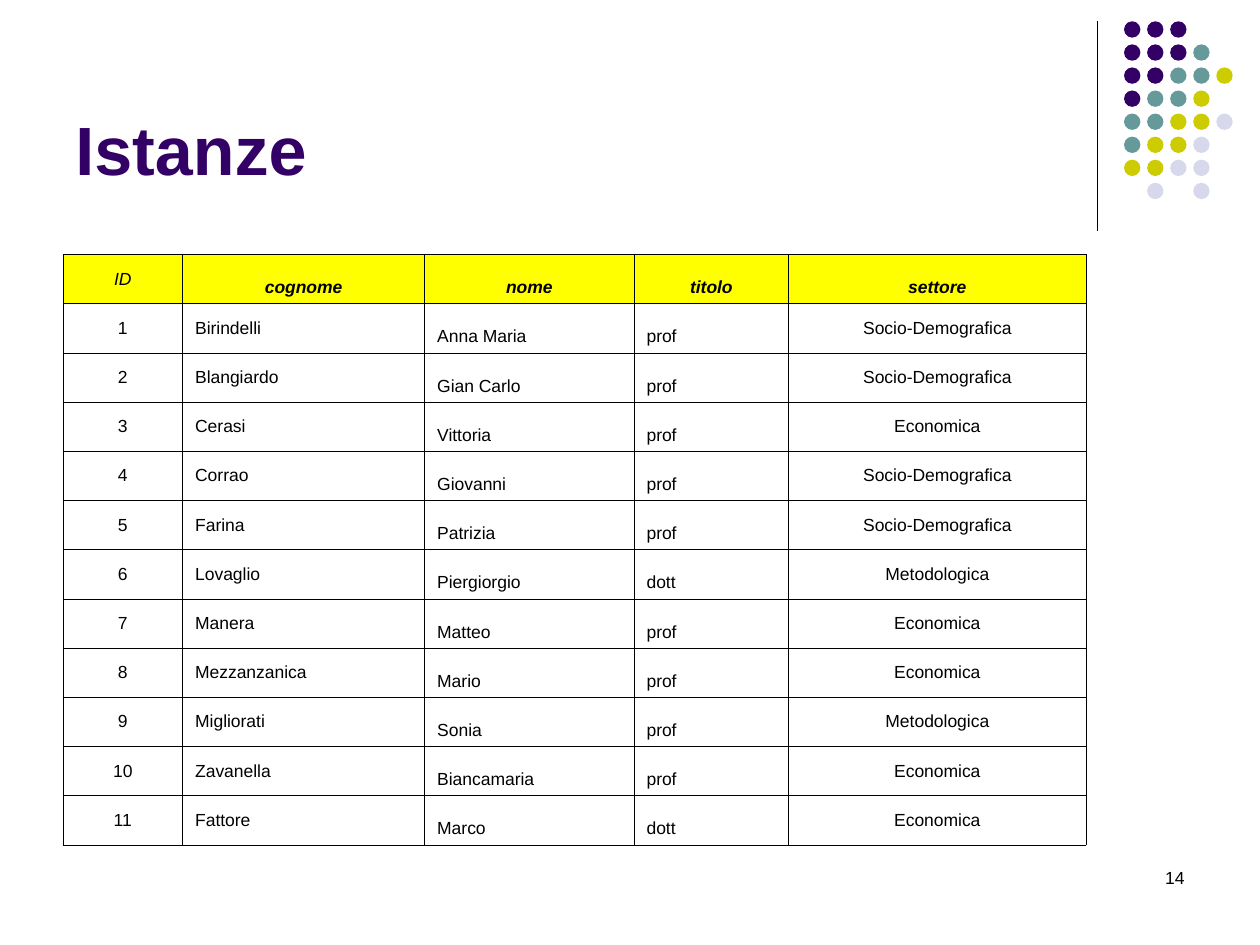
import pptx
import pptx.dml.color
import pptx.enum.shapes
import pptx.enum.text
import pptx.oxml
import pptx.oxml.ns
import pptx.util

Cm = pptx.util.Cm
ALIGN = pptx.enum.text.PP_ALIGN
ANCHOR = pptx.enum.text.MSO_ANCHOR

BLACK, PURPLE, TEAL = "000000", "330066", "669999"
OLIVE, LILAC, YELLOW = "CCCC00", "D8D8EC", "FFFF00"


def color(value):
    return pptx.dml.color.RGBColor.from_string(value)


class Deck:
    font = "Arial"
    body_size = 10

    def __init__(self, width, height):
        self.prs = pptx.Presentation()
        self.prs.slide_width, self.prs.slide_height = Cm(width), Cm(height)
        self.s = self.prs.slides.add_slide(self.prs.slide_layouts[6])

    def style(self, p, size, fill, align, bold=False, italic=False):
        p.alignment = align
        for r in p.runs:
            r.font.name, r.font.size = self.font, pptx.util.Pt(size)
            r.font.bold, r.font.italic = bold, italic
            r.font.color.rgb = color(fill)

    def text(self, text, x, y, w, h, size, fill, align=ALIGN.LEFT,
             anchor=ANCHOR.TOP, bold=False):
        tf = self.s.shapes.add_textbox(Cm(x), Cm(y), Cm(w), Cm(h)).text_frame
        tf.word_wrap, tf.vertical_anchor = True, anchor
        tf.text = text
        self.style(tf.paragraphs[0], size, fill, align, bold)

    def line(self, x1, y1, x2, y2, fill, weight):
        sp = self.s.shapes.add_connector(
            pptx.enum.shapes.MSO_CONNECTOR.STRAIGHT,
            Cm(x1), Cm(y1), Cm(x2), Cm(y2))
        sp.line.color.rgb, sp.line.width = color(fill), pptx.util.Pt(weight)
        sp._element.spPr.append(pptx.oxml.parse_xml(
            f'<a:effectLst {pptx.oxml.ns.nsdecls("a")}/>'))

    def dot(self, x, y, size, fill):
        sp = self.s.shapes.add_shape(pptx.enum.shapes.MSO_SHAPE.OVAL,
                                     Cm(x), Cm(y), Cm(size), Cm(size))
        sp.shadow.inherit = False
        sp.fill.solid()
        sp.fill.fore_color.rgb = color(fill)
        sp.line.fill.background()

    def borders(self, cell, fill, weight):
        tc_pr = cell._tc.get_or_add_tcPr()
        for side in ("lnL", "lnR", "lnT", "lnB"):
            tc_pr.append(pptx.oxml.parse_xml(
                f'<a:{side} {pptx.oxml.ns.nsdecls("a")} '
                f'w="{pptx.util.Pt(weight)}"><a:solidFill>'
                f'<a:srgbClr val="{fill}"/></a:solidFill></a:{side}>'))

    def table(self, rows, x, y, widths, height, aligns, anchors):
        table = self.s.shapes.add_table(
            len(rows), len(widths), Cm(x), Cm(y),
            Cm(sum(widths)), Cm(height)).table
        table.horz_banding = table.first_row = False
        for column, width in zip(table.columns, widths):
            column.width = Cm(width)
        for i, row in enumerate(rows):
            header = i == 0
            for j, value in enumerate(row):
                cell = table.cell(i, j)
                cell.text = value
                # Header names sit at the bottom, except the ID
                bottom = header and j > 0
                cell.vertical_anchor = ANCHOR.BOTTOM if bottom else anchors[j]
                self.style(cell.text_frame.paragraphs[0], self.body_size, BLACK,
                           ALIGN.CENTER if header else aligns[j],
                           bold=bottom, italic=header)
                self.borders(cell, BLACK, 0.45)
                if header:
                    cell.fill.solid()
                    cell.fill.fore_color.rgb = color(YELLOW)
                else:
                    cell.fill.background()


def main():
    deck = Deck(25.4, 19.05)

    # Corner decoration: rule and dot grid
    deck.line(22.12, 0.43, 22.12, 4.65, BLACK, 0.75)
    dot_colors = {"P": PURPLE, "T": TEAL, "O": OLIVE, "L": LILAC}
    dot_rows = ("PPP", "PPPT", "PPTTO", "PTTO", "TTOOL", "TOOL", "OOLL", " L L")
    pitch = 0.465
    for i, dots in enumerate(dot_rows):
        for j, key in enumerate(dots):
            if key in dot_colors:
                deck.dot(22.66 + j * pitch, 0.43 + i * pitch, 0.33,
                         dot_colors[key])

    # Page number and title
    deck.text("14", 18.21, 17.35, 5.92, 1.27, 10, BLACK, ALIGN.RIGHT)
    deck.text("Istanze", 1.27, 0.33, 20.96, 3.61, 39, PURPLE,
              anchor=ANCHOR.BOTTOM, bold=True)

    # Table of people, numbered in order
    people = (
        ("Birindelli", "Anna Maria", "prof", "Socio-Demografica"),
        ("Blangiardo", "Gian Carlo", "prof", "Socio-Demografica"),
        ("Cerasi", "Vittoria", "prof", "Economica"),
        ("Corrao", "Giovanni", "prof", "Socio-Demografica"),
        ("Farina", "Patrizia", "prof", "Socio-Demografica"),
        ("Lovaglio", "Piergiorgio", "dott", "Metodologica"),
        ("Manera", "Matteo", "prof", "Economica"),
        ("Mezzanzanica", "Mario", "prof", "Economica"),
        ("Migliorati", "Sonia", "prof", "Metodologica"),
        ("Zavanella", "Biancamaria", "prof", "Economica"),
        ("Fattore", "Marco", "dott", "Economica"),
    )
    rows = [("ID", "cognome", "nome", "titolo", "settore")]
    rows += [(str(n), *person) for n, person in enumerate(people, 1)]
    deck.table(
        rows, 1.27, 5.13, (2.41, 4.88, 4.22, 3.12, 5.99), 11.91,
        (ALIGN.CENTER, ALIGN.JUSTIFY, ALIGN.LEFT, ALIGN.LEFT, ALIGN.CENTER),
        (ANCHOR.MIDDLE, ANCHOR.MIDDLE, ANCHOR.BOTTOM, ANCHOR.BOTTOM,
         ANCHOR.MIDDLE))

    deck.prs.save("out.pptx")


if __name__ == "__main__":
    main()
